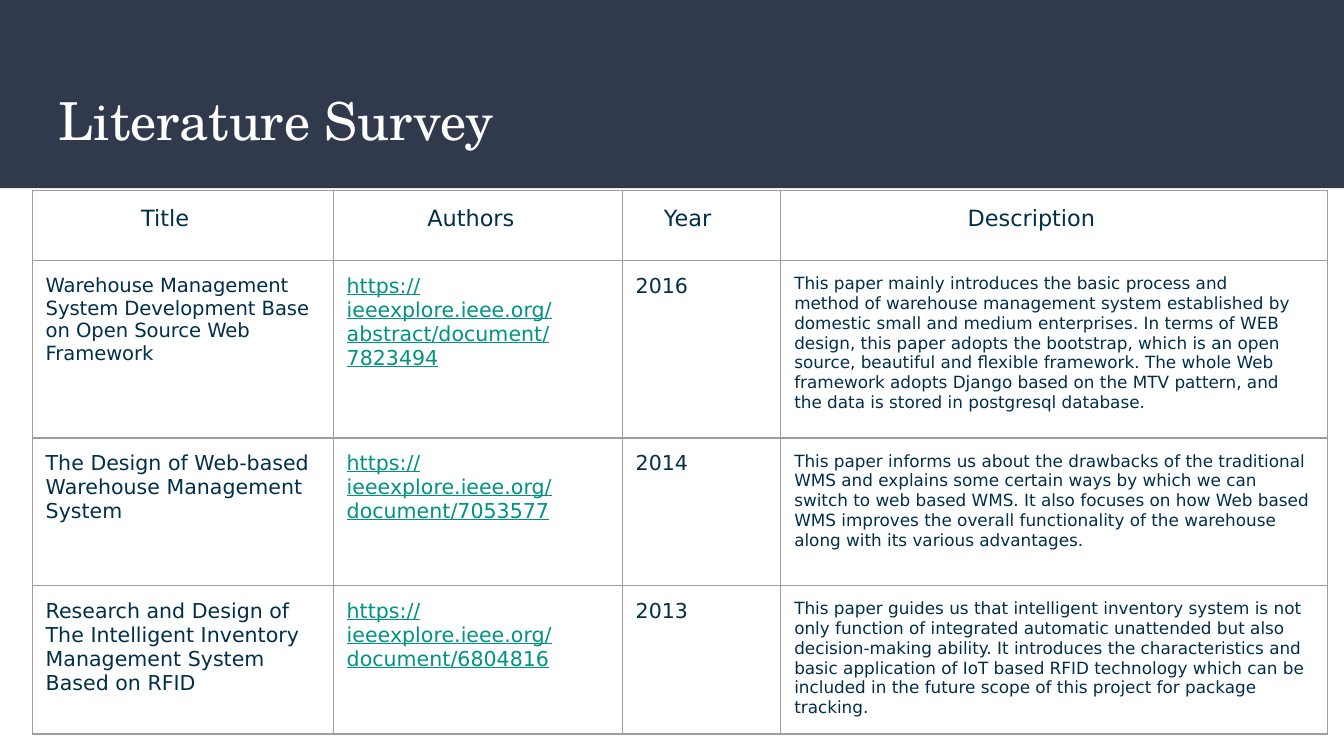
from lxml import etree
from pptx import Presentation
from pptx.dml.color import RGBColor
from pptx.enum.shapes import MSO_SHAPE
from pptx.enum.text import MSO_ANCHOR, PP_ALIGN
from pptx.oxml.ns import qn
from pptx.util import Inches, Pt

COLORS = {"band": "31394D", "title": "FFFFFF", "text": "002F4A",
          "link": "009384", "border": "9E9E9E"}
BODY_FONT = "DejaVu Sans"


def style_paragraph(paragraph, font_name, size, color, underline=False):
    for run in paragraph.runs:
        run.font.name = font_name
        run.font.size = Pt(size)
        run.font.color.rgb = RGBColor.from_string(COLORS[color])
        run.font.underline = underline


def add_borders(cell):
    """Draw a thin line on all four sides; lines must precede the fill in tcPr."""
    properties = cell._tc.get_or_add_tcPr()
    for position, side in enumerate(("lnL", "lnR", "lnT", "lnB")):
        line = etree.Element(qn(f"a:{side}"), w=str(Pt(0.75)))
        fill = etree.SubElement(line, qn("a:solidFill"))
        etree.SubElement(fill, qn("a:srgbClr"), val=COLORS["border"])
        properties.insert(position, line)


prs = Presentation()
prs.slide_width = Inches(10)
prs.slide_height = Inches(10 * 9 / 16)
slide = prs.slides.add_slide(prs.slide_layouts[6])

band = slide.shapes.add_shape(MSO_SHAPE.RECTANGLE, 0, 0, prs.slide_width, Inches(1.4))
band.shadow.inherit = False
band.fill.solid()
band.fill.fore_color.rgb = RGBColor.from_string(COLORS["band"])
band.line.fill.background()

heading = slide.shapes.add_textbox(Inches(0.34), Inches(0.55), Inches(9.32), Inches(0.68)).text_frame
heading.word_wrap = True
heading.vertical_anchor = MSO_ANCHOR.MIDDLE
heading.margin_left = heading.margin_right = Inches(0.1)
heading.margin_top = heading.margin_bottom = Inches(0.1)
heading.text = "Literature Survey"
style_paragraph(heading.paragraphs[0], "TeX Gyre Schola", 28, "title")

# Header text, its indent and the column width, in inches
columns = [("Title", 0.71, 2.24), ("Authors", 0.6, 2.15),
           ("Year", 0.21, 1.18), ("Description", 1.29, 4.07)]
row_heights = [0.52, 1.32, 1.1, 1.1]
papers = [
    ("Warehouse Management System Development Base on Open Source Web Framework",
     "https://ieeexplore.ieee.org/abstract/document/7823494", "2016",
     "This paper mainly introduces the basic process and\n"
     "method of warehouse management system established by\n"
     "domestic small and medium enterprises. In terms of WEB\n"
     "design, this paper adopts the bootstrap, which is an open\n"
     "source, beautiful and flexible framework. The whole Web\n"
     "framework adopts Django based on the MTV pattern, and\n"
     "the data is stored in postgresql database."),
    ("The Design of Web-based Warehouse Management System",
     "https://ieeexplore.ieee.org/document/7053577", "2014",
     "This paper informs us about the drawbacks of the traditional WMS and explains "
     "some certain ways by which we can switch to web based WMS. It also focuses on "
     "how Web based WMS improves the overall functionality of the warehouse along "
     "with its various advantages."),
    ("Research and Design of The Intelligent Inventory Management System Based on RFID",
     "https://ieeexplore.ieee.org/document/6804816", "2013",
     "This paper guides us that intelligent inventory system is not only function of "
     "integrated automatic unattended but also decision-making ability. It introduces "
     "the characteristics and basic application of IoT based RFID technology which can "
     "be included in the future scope of this project for package tracking."),
]

survey = slide.shapes.add_table(
    len(row_heights), len(columns), Inches(0.24), Inches(1.42),
    Inches(sum(width for _, _, width in columns)), Inches(sum(row_heights))).table
survey.first_row = survey.horz_banding = False
for column, (_, _, width) in zip(survey.columns, columns):
    column.width = Inches(width)
for row, height in zip(survey.rows, row_heights):
    row.height = Inches(height)

contents = [[name for name, _, _ in columns], *papers]
for row_index, texts in enumerate(contents):
    for column_index, text in enumerate(texts):
        cell = survey.cell(row_index, column_index)
        cell.margin_left = cell.margin_right = Inches(0.1)
        cell.margin_top = cell.margin_bottom = Inches(0.1)
        cell.fill.background()
        add_borders(cell)
        cell.text_frame.text = text

        is_link = row_index > 0 and column_index == 1
        if row_index == 0:
            size = 12
        elif column_index == 3:
            size = 9
        else:
            size = 10.5 if (row_index, column_index) == (1, 0) else 11
        for paragraph in cell.text_frame.paragraphs:
            if row_index == 0:
                paragraph.line_spacing = 1.05
                paragraph.alignment = PP_ALIGN.LEFT if text == "Year" else PP_ALIGN.JUSTIFY
                indent = Inches(columns[column_index][1])
                paragraph._p.get_or_add_pPr().set("marL", str(indent))
            style_paragraph(paragraph, BODY_FONT, size,
                            "link" if is_link else "text", is_link)

prs.save("out.pptx")
